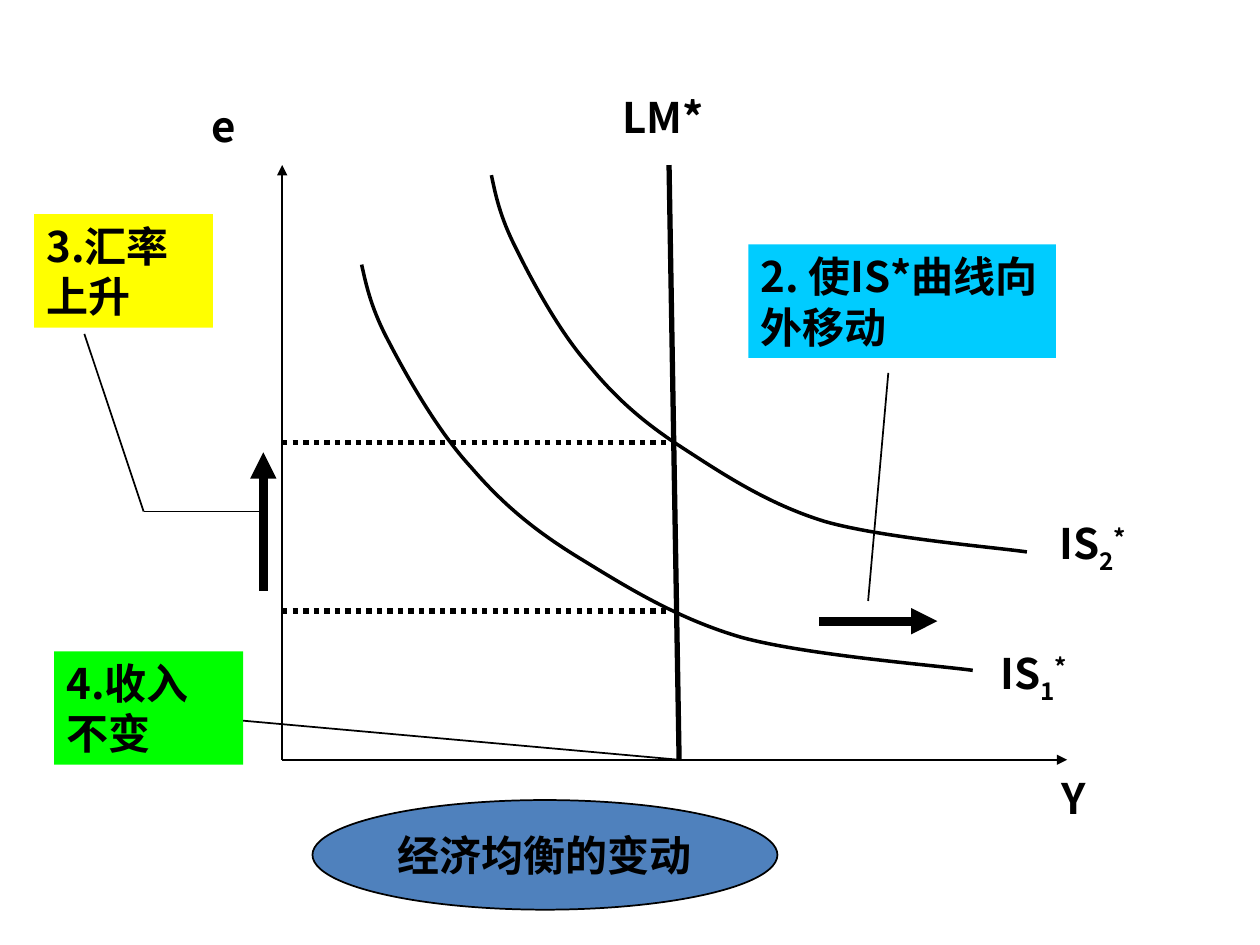
from collections import namedtuple
from dataclasses import dataclass
from itertools import pairwise

from lxml import etree
from pptx import Presentation
from pptx.dml.color import RGBColor
from pptx.enum.dml import MSO_LINE
from pptx.enum.shapes import MSO_CONNECTOR, MSO_SHAPE
from pptx.enum.text import MSO_ANCHOR, PP_ALIGN
from pptx.oxml.ns import qn
from pptx.util import Inches, Pt

STRAIGHT = MSO_CONNECTOR.STRAIGHT
RECT, OVAL = MSO_SHAPE.RECTANGLE, MSO_SHAPE.OVAL
LEFT, CENTER = PP_ALIGN.LEFT, PP_ALIGN.CENTER
TOP, MIDDLE = MSO_ANCHOR.TOP, MSO_ANCHOR.MIDDLE
DOT = MSO_LINE.ROUND_DOT

Box = namedtuple("Box", "x y w h")


@dataclass(frozen=True)
class Theme:
    font: str = "Noto Sans CJK SC"
    size: int = 24
    ink: str = "000000"
    cyan: str = "00CCFF"
    yellow: str = "FFFF00"
    green: str = "00FF00"
    blue: str = "4F81BD"
    thin: int = 1
    curve: int = 2
    bold: int = 3
    arrow: int = 5


THEME = Theme()
CURVE = [
    (0, 0), (0.04, 0.18), (0.08, 0.36), (0.22, 0.62),
    (0.36, 0.89), (0.61, 1.33), (0.87, 1.61), (1.12, 1.9),
    (1.37, 2.11), (1.73, 2.33), (2.09, 2.55), (2.5, 2.81),
    (3.02, 2.96), (3.54, 3.1), (4.55, 3.18), (4.85, 3.22),
]


def color(code):
    return RGBColor.from_string(code)


def inches(*nums):
    return [Inches(num) for num in nums]


def write(shape, text, sub="", sup="", align=LEFT, anchor=TOP, wrap=True):
    frame = shape.text_frame
    frame.word_wrap = wrap
    frame.vertical_anchor = anchor
    para = frame.paragraphs[0]
    para.alignment = align
    for part, base in ((text, 0), (sub, -25000), (sup, 30000)):
        if not part:
            continue
        run = para.add_run()
        run.text = part
        font = run.font
        font.name, font.size, font.bold = THEME.font, Pt(THEME.size), True
        font.color.rgb = color(THEME.ink)
        props = run._r.get_or_add_rPr()
        etree.SubElement(props, qn("a:ea"), typeface=THEME.font)
        if base:
            props.set("baseline", str(base))


def stroke(line, width):
    line.color.rgb = color(THEME.ink)
    line.width = Pt(width)


def draw(slide, box, start, end, width=THEME.thin, dash=None, head=False):
    ends = (box.x + start[0], box.y + start[1], box.x + end[0], box.y + end[1])
    link = slide.shapes.add_connector(STRAIGHT, *inches(*ends))
    stroke(link.line, width)
    if dash:
        link.line.dash_style = dash
    props = link._element.spPr
    if head:
        etree.SubElement(props.find(qn("a:ln")), qn("a:tailEnd"), type="triangle")
    etree.SubElement(props, qn("a:effectLst"))


def bend(slide, box):
    wide, tall = box.w / CURVE[-1][0], box.h / CURVE[-1][1]
    dots = [inches(box.x + x * wide, box.y + y * tall) for x, y in CURVE]
    form = slide.shapes.build_freeform(*dots[0])
    form.add_line_segments(dots[1:], close=False)
    shape = form.convert_to_shape()
    shape.shadow.inherit = False
    shape.fill.background()
    stroke(shape.line, THEME.curve)
    steps = list(shape._element.iter(qn("a:lnTo")))
    for i in range(0, len(steps), 3):
        arc = etree.Element(qn("a:cubicBezTo"))
        steps[i].addprevious(arc)
        for step in steps[i:i + 3]:
            arc.append(step[0])
            step.getparent().remove(step)


def block(slide, kind, box, fill, edge=False):
    shape = slide.shapes.add_shape(kind, *inches(*box))
    shape.shadow.inherit = False
    shape.fill.solid()
    shape.fill.fore_color.rgb = color(fill)
    if edge:
        stroke(shape.line, THEME.thin)
    else:
        shape.line.fill.background()
    return shape


def plot(slide, box):
    base = (0, box.h)
    for end in ((0, 0), (box.w, box.h)):
        draw(slide, box, base, end, head=True)
    for x, y, w, h in ((0.63, 0.79, 4.85, 3.22), (1.66, 0.08, 4.25, 2.99)):
        bend(slide, Box(box.x + x, box.y + y, w, h))
    for y in (2.2, 3.54):
        draw(slide, box, (0, y), (3.07, y), THEME.bold, DOT)
    draw(slide, box, (3.15, box.h), (3.07, 0), THEME.bold)
    for start, end in (((4.26, 3.62), (5.2, 3.62)), ((-0.15, 3.38), (-0.15, 2.28))):
        draw(slide, box, start, end, THEME.arrow, head=True)
    labels = (
        ("e", "", "", (-0.66, -0.56, 1.66, 0.5)),
        ("LM*", "", "", (2.6, -0.63, 1.02, 0.5)),
        ("Y", "", "", (6.09, 4.77, 0.76, 0.5)),
        ("IS", "1", "*", (5.6, 3.78, 0.87, 0.56)),
        ("IS", "2", "*", (6.07, 2.75, 0.83, 0.56)),
    )
    for text, sub, sup, (x, y, w, h) in labels:
        label = slide.shapes.add_textbox(*inches(box.x + x, box.y + y, w, h))
        write(label, text, sub=sub, sup=sup)


def callout(slide, box, text, fill, trail):
    write(block(slide, RECT, box, fill), text)
    for start, end in pairwise(trail):
        draw(slide, box, start, end)


def caption(slide, box, text):
    oval = block(slide, OVAL, box, THEME.blue, edge=True)
    write(oval, text, align=CENTER, anchor=MIDDLE, wrap=False)


def main():
    deck = Presentation()
    deck.slide_width, deck.slide_height = inches(10, 7.5)
    slide = deck.slides.add_slide(deck.slide_layouts[6])
    plot(slide, Box(2.24, 1.31, 6.23, 4.72))
    callout(slide, Box(5.94, 1.94, 2.44, 0.9), "2. 使IS*曲线向外移动",
            THEME.cyan, [(0.95, 2.83), (1.11, 1.02)])
    callout(slide, Box(0.27, 1.7, 1.42, 0.9), "3.汇率上升",
            THEME.yellow, [(0.4, 0.95), (0.87, 2.36), (1.82, 2.36)])
    callout(slide, Box(0.43, 5.17, 1.5, 0.9), "4.收入不变",
            THEME.green, [(1.5, 0.55), (4.96, 0.86)])
    caption(slide, Box(2.48, 6.35, 3.69, 0.87), "经济均衡的变动")
    deck.save("out.pptx")


if __name__ == "__main__":
    main()
